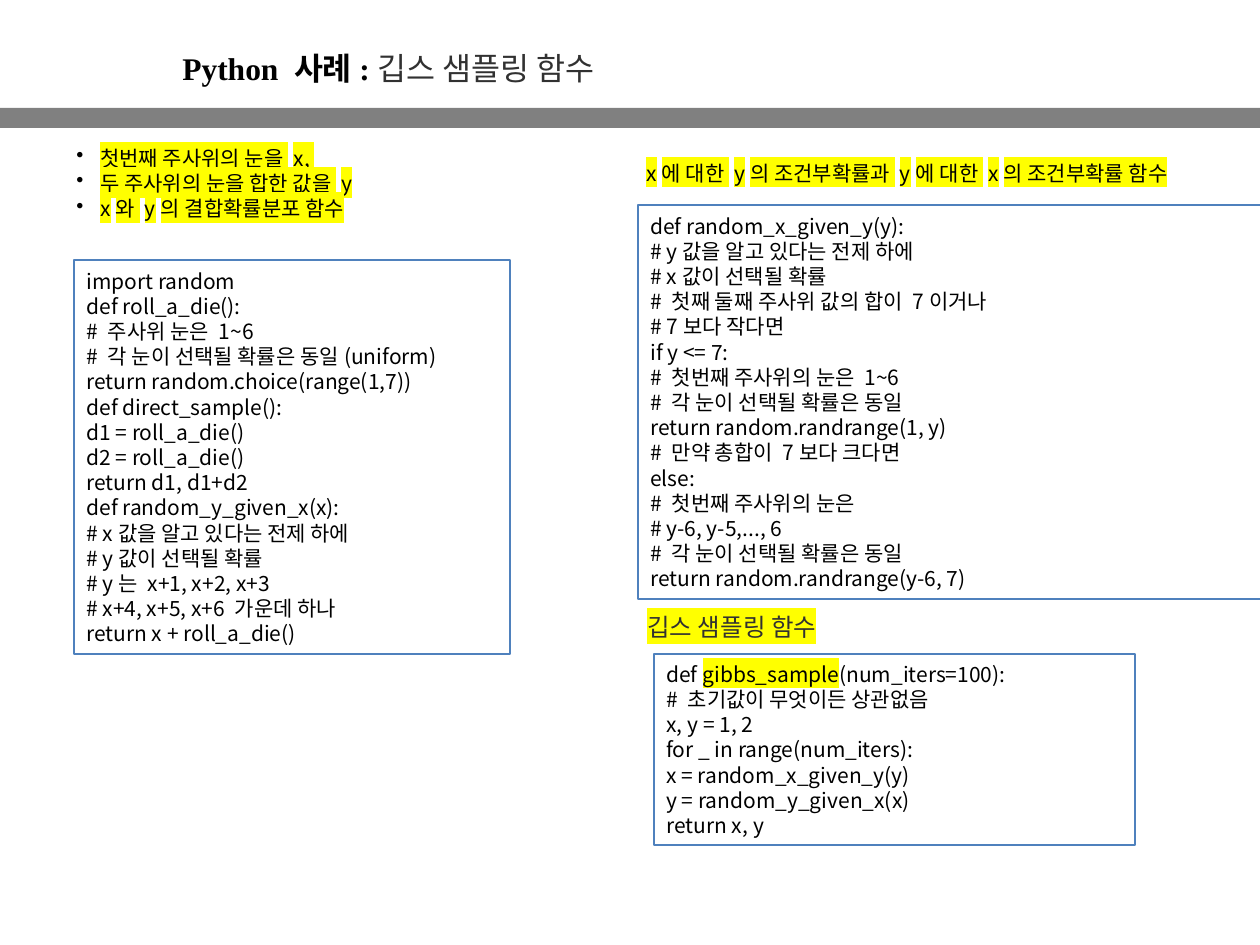
from dataclasses import dataclass
from typing import Optional

from lxml.etree import SubElement
from pptx import Presentation
from pptx.dml.color import RGBColor
from pptx.enum.shapes import MSO_SHAPE as Preset
from pptx.enum.text import MSO_ANCHOR as Anchor, PP_ALIGN as Align
from pptx.oxml import parse_xml
from pptx.oxml.ns import nsdecls, qn
from pptx.util import Emu, Pt

PX = 914400 / 126
COLORS = {"text": "000000", "soft": "313131", "band": "808080",
          "border": "4F81BD", "marker": "FFFF00"}
CODE_FONT = "Noto Sans CJK KR"
SERIF = "Times New Roman"
TITLE_FONT = "Lato"


@dataclass(frozen=True)
class Run:
    text: str
    font: Optional[str] = None
    color: Optional[str] = None
    highlight: bool = False


@dataclass(frozen=True)
class Box:
    left: int
    top: int
    width: int
    height: int
    lines: list[list[Run]]
    font: str = CODE_FONT
    size: int = 12
    color: str = "text"
    bold_first: bool = False
    align: Align = Align.JUSTIFY
    spacing: float = 1.2
    framed: bool = False
    bullets: bool = False
    wrap: bool = True


def px(length: int) -> Emu:
    return Emu(round(length * PX))


def rgb(name: str) -> RGBColor:
    return RGBColor.from_string(COLORS[name])


def code(source: str) -> list[list[Run]]:
    return [[Run(part, SERIF if index % 2 else None)
             for index, part in enumerate(line.split("|"))]
            for line in source.strip().splitlines()]


def marked(*texts: str) -> list[list[Run]]:
    return [[Run(text, highlight=True)] for text in texts]


def add_run(paragraph, item: Run) -> None:
    run = paragraph.add_run()
    run.text = item.text
    if item.color:
        run.font.color.rgb = rgb(item.color)
    if item.highlight:
        properties = run._r.get_or_add_rPr()
        properties.append(parse_xml(
            f'<a:highlight {nsdecls("a")}><a:srgbClr val="{COLORS["marker"]}"/></a:highlight>'))
    if item.font:
        run.font.name = item.font


def add_bullet(paragraph) -> None:
    properties = paragraph._p.get_or_add_pPr()
    properties.set("marL", str(px(24)))
    properties.set("indent", str(-px(24)))
    SubElement(properties, qn("a:buChar"), char="•")


def add_box(slide, box: Box) -> None:
    place = [px(length) for length in (box.left, box.top, box.width, box.height)]
    if box.framed:
        shape = slide.shapes.add_shape(Preset.RECTANGLE, *place)
        shape.shadow.inherit = False
        shape.fill.background()
        shape.line.color.rgb = rgb("border")
        shape.line.width = Pt(0.75)
    else:
        shape = slide.shapes.add_textbox(*place)
    frame = shape.text_frame
    frame.word_wrap = box.wrap
    frame.vertical_anchor = Anchor.MIDDLE if box.framed else Anchor.TOP
    for index, line in enumerate(box.lines):
        paragraph = frame.add_paragraph() if index else frame.paragraphs[0]
        paragraph.alignment = box.align
        paragraph.line_spacing = Pt(round(box.size * box.spacing, 1))
        if box.bullets:
            add_bullet(paragraph)
        font = paragraph.font
        font.size = Pt(box.size)
        font.color.rgb = rgb(box.color)
        font.name = box.font
        SubElement(font._element, qn("a:ea"), typeface=CODE_FONT)
        for item in line:
            add_run(paragraph, item)
        if box.bold_first:
            paragraph.runs[0].font.bold = True


def add_band(slide) -> None:
    band = slide.shapes.add_shape(Preset.RECTANGLE, 0, px(108), px(1260), px(20))
    band.shadow.inherit = False
    band.fill.solid()
    band.fill.fore_color.rgb = rgb("band")
    band.line.fill.background()


DIRECT_CODE = """
import random
def roll_a_die():
# |주사위 눈은 |1~6
# |각 눈이 선택될 확률은 동일|(uniform)
return random.choice(range(1,7))
def direct_sample():
d1 = roll_a_die()
d2 = roll_a_die()
return d1, d1+d2
def random_y_given_x(x):
# x|값을 알고 있다는 전제 하에
# y|값이 선택될 확률
# y|는 |x+1, x+2, x+3
# x+4, x+5, x+6 |가운데 하나
return x + roll_a_die()
"""

CONDITIONAL_CODE = """
def random_x_given_y(y):
# y|값을 알고 있다는 전제 하에
# x|값이 선택될 확률
# |첫째 둘째 주사위 값의 합이 |7|이거나
# 7|보다 작다면
if y <= 7:
# |첫번째 주사위의 눈은 |1~6
# |각 눈이 선택될 확률은 동일
return random.randrange(1, y)
# |만약 총합이 |7|보다 크다면
else:
# |첫번째 주사위의 눈은
# y-6, y-5,..., 6
# |각 눈이 선택될 확률은 동일
return random.randrange(y-6, 7)
"""

GIBBS_HEAD = [Run("def "), Run("gibbs_sample", highlight=True), Run("(num_iters=100):")]
GIBBS_BODY = """
# |초기값이 무엇이든 상관없음
x, y = 1, 2
for _ in range(num_iters):
x = random_x_given_y(y)
y = random_y_given_x(x)
return x, y
"""

BOXES = [
    Box(74, 260, 436, 394, code(DIRECT_CODE), framed=True),
    Box(654, 654, 481, 191, [GIBBS_HEAD] + code(GIBBS_BODY), framed=True),
    Box(170, 43, 464, 50,
        [[Run("Python 사례:", SERIF), Run("깁스 샘플링 함수", color="soft")]],
        font=TITLE_FONT, size=18, bold_first=True, align=Align.LEFT, wrap=False),
    Box(635, 606, 213, 43, marked("깁스 샘플링 함수"),
        font=TITLE_FONT, size=14, color="soft", align=Align.LEFT, wrap=False),
    Box(638, 205, 630, 394, code(CONDITIONAL_CODE), framed=True),
    Box(634, 139, 630, 48,
        marked("x에 대한 y의 조건부확률과 y에 대한 x의 조건부확률 함수"), spacing=1.92),
    Box(64, 139, 447, 89,
        marked("첫번째 주사위의 눈을 x, ", "두 주사위의 눈을 합한 값을 y",
               "x와 y의 결합확률분포 함수"), bullets=True),
]


def main() -> None:
    presentation = Presentation()
    presentation.slide_width = px(1260)
    presentation.slide_height = px(945)
    slide = presentation.slides.add_slide(presentation.slide_layouts[6])
    add_band(slide)
    for box in BOXES:
        add_box(slide, box)
    presentation.save("out.pptx")


if __name__ == "__main__":
    main()
